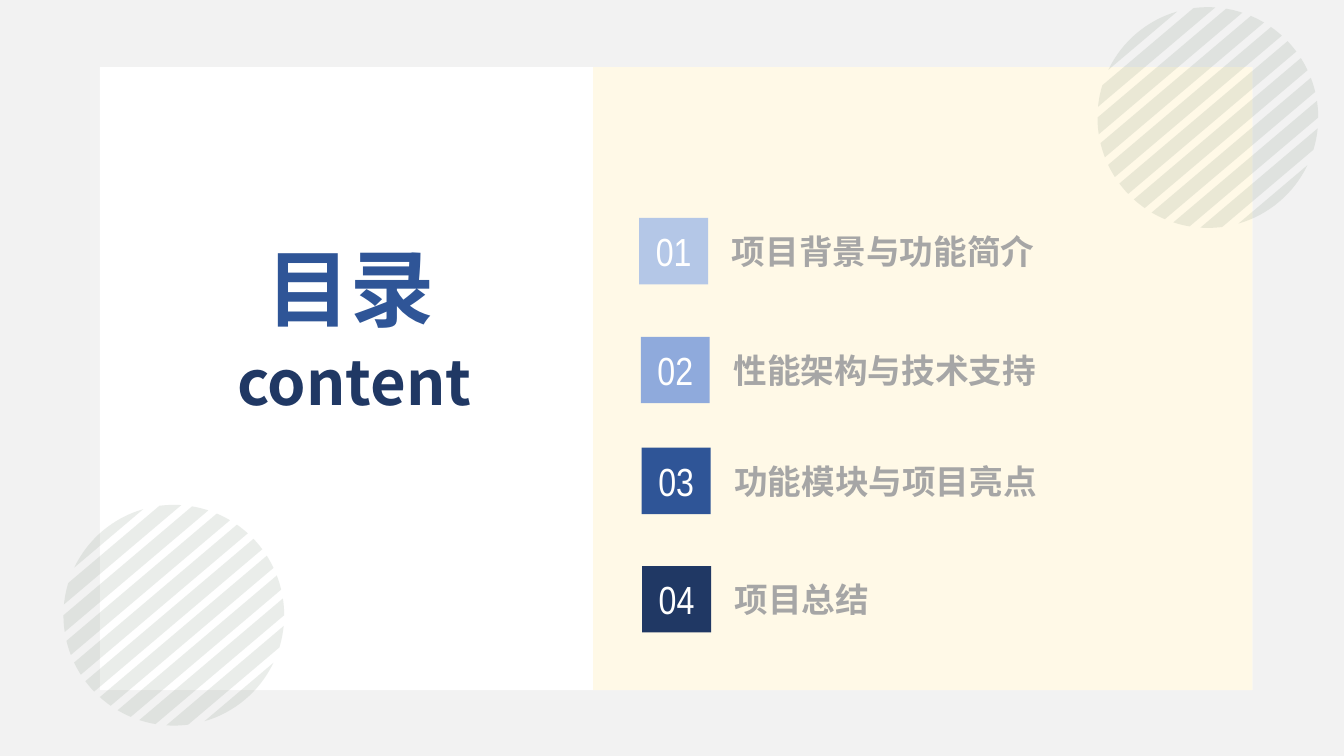
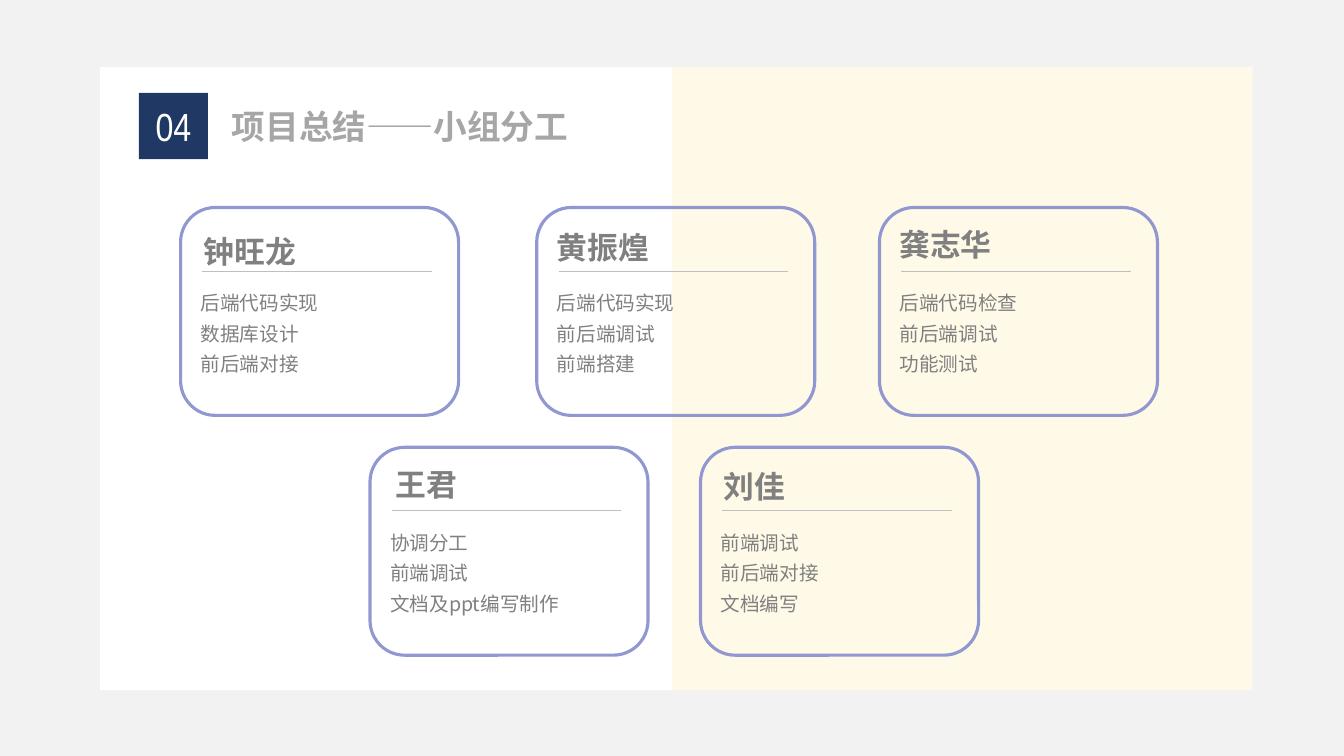
"""Build the contents slide and the team slide of a project report."""

from dataclasses import dataclass, replace
from math import acos, cos, radians, sin

from lxml.etree import SubElement
from pptx import Presentation
from pptx.dml.color import RGBColor
from pptx.enum.shapes import MSO_CONNECTOR, MSO_SHAPE
from pptx.enum.text import MSO_ANCHOR, MSO_AUTO_SIZE, PP_ALIGN
from pptx.oxml.ns import qn
from pptx.presentation import Presentation as Deck
from pptx.shapes.autoshape import Shape
from pptx.slide import Slide
from pptx.util import Emu, Inches, Pt

COLUMNS, ROWS = 160, 90
SLIDE_WIDTH, SLIDE_HEIGHT = Inches(13.333), Inches(7.5)

WHITE = RGBColor(0xFF, 0xFF, 0xFF)
BACKGROUND = RGBColor(0xF2, 0xF2, 0xF2)
CREAM = RGBColor(0xFF, 0xF9, 0xE7)
PALE_BLUE = RGBColor(0xB4, 0xC7, 0xE7)
LIGHT_BLUE = RGBColor(0x8F, 0xAA, 0xDC)
BLUE = RGBColor(0x2F, 0x55, 0x97)
NAVY = RGBColor(0x20, 0x38, 0x64)
LAVENDER = RGBColor(0x91, 0x97, 0xD0)
SAGE = RGBColor(0x74, 0x87, 0x73)
RULE_GRAY = RGBColor(0xBF, 0xBF, 0xBF)
HEADING_GRAY = RGBColor(0xA6, 0xA6, 0xA6)
TEXT_GRAY = RGBColor(0x80, 0x80, 0x80)

CHINESE_FONT = "Noto Sans CJK SC"
NUMBER_FONT = "Arial Narrow"


@dataclass(frozen=True)
class Box:
    left: float
    top: float
    width: float
    height: float

    def emu(self) -> tuple[Emu, Emu, Emu, Emu]:
        return column(self.left), row(self.top), column(self.width), row(self.height)


@dataclass(frozen=True)
class TextStyle:
    size: float
    color: RGBColor
    bold: bool = True
    font: str = CHINESE_FONT
    alignment: PP_ALIGN = PP_ALIGN.LEFT
    anchor: MSO_ANCHOR = MSO_ANCHOR.TOP
    line_spacing: float = 1.0


@dataclass(frozen=True)
class Section:
    number: str
    title: str
    color: RGBColor
    left: float
    top: float


@dataclass(frozen=True)
class Member:
    name: str
    duties: tuple[str, ...]
    left: float
    top: float
    name_left: float
    name_top: float


HEADING = TextStyle(24, HEADING_GRAY)
BADGE_NUMBER = TextStyle(28, WHITE, False, NUMBER_FONT, PP_ALIGN.CENTER, MSO_ANCHOR.MIDDLE)
CONTENTS_TITLE = TextStyle(60, BLUE, alignment=PP_ALIGN.CENTER)
CONTENTS_SUBTITLE = TextStyle(44, NAVY, alignment=PP_ALIGN.CENTER)
MEMBER_NAME = TextStyle(22, TEXT_GRAY, anchor=MSO_ANCHOR.MIDDLE)
MEMBER_DUTIES = TextStyle(14, TEXT_GRAY, False, line_spacing=1.3)

PANEL = Box(11.9, 8, 137.2, 74.15)
BADGE_WIDTH, BADGE_HEIGHT = 8.2, 7.9
CARD_WIDTH, CARD_HEIGHT = 33.1, 24.75
UPPER_CARDS, LOWER_CARDS = 24.7, 53.25

CIRCLE_RADIUS = 13.14
STRIPE_COUNT = 11
STRIPE_PITCH = 2.56
STRIPE_THICKNESS = 1.62
STRIPE_TILT = radians(49.75)
ARC_STEPS = 8

SECTIONS = (
    Section("01", "项目背景与功能简介", PALE_BLUE, 76.1, 25.95),
    Section("02", "性能架构与技术支持", LIGHT_BLUE, 76.3, 40.1),
    Section("03", "功能模块与项目亮点", BLUE, 76.4, 53.3),
    Section("04", "项目总结", NAVY, 76.45, 67.4),
)
MEMBERS = (
    Member("钟旺龙", ("后端代码实现", "数据库设计", "前后端对接"), 21.5, UPPER_CARDS, 1.55, 2.4),
    Member("黄振煌", ("后端代码实现", "前后端调试", "前端搭建"), 63.9, UPPER_CARDS, 1.2, 1.9),
    Member("龚志华", ("后端代码检查", "前后端调试", "功能测试"), 104.7, UPPER_CARDS, 1.2, 1.55),
    Member("王君", ("协调分工", "前端调试", "文档及ppt编写制作"), 44.05, LOWER_CARDS, 1.9, 1.55),
    Member("刘佳", ("前端调试", "前后端对接", "文档编写"), 83.4, LOWER_CARDS, 1.55, 1.8),
)


def column(count: float) -> Emu:
    return Emu(round(SLIDE_WIDTH * count / COLUMNS))


def row(count: float) -> Emu:
    return Emu(round(SLIDE_HEIGHT * count / ROWS))


def write(shape: Shape, lines: tuple[str, ...], style: TextStyle) -> None:
    frame = shape.text_frame
    frame.text = "\n".join(lines)
    frame.word_wrap = True
    frame.auto_size = MSO_AUTO_SIZE.NONE
    frame.vertical_anchor = style.anchor
    for paragraph in frame.paragraphs:
        paragraph.alignment = style.alignment
        paragraph.line_spacing = style.line_spacing
        for run in paragraph.runs:
            run.font.name = style.font
            run.font.size = Pt(style.size)
            run.font.bold = style.bold
            run.font.color.rgb = style.color
            east_asian = SubElement(run.font._element, qn("a:ea"))
            east_asian.set("typeface", style.font)


def add_text(slide: Slide, box: Box, lines: tuple[str, ...], style: TextStyle) -> None:
    write(slide.shapes.add_textbox(*box.emu()), lines, style)


def place_title(slide: Slide, box: Box, text: str, style: TextStyle) -> None:
    title = slide.shapes.title
    title.left, title.top, title.width, title.height = box.emu()
    write(title, (text,), style)
    slide.shapes._spTree.append(title._element)


def add_rectangle(slide: Slide, box: Box, color: RGBColor) -> Shape:
    shape = slide.shapes.add_shape(MSO_SHAPE.RECTANGLE, *box.emu())
    shape.shadow.inherit = False
    shape.fill.solid()
    shape.fill.fore_color.rgb = color
    shape.line.fill.background()
    return shape


def add_slide(presentation: Deck, split: float) -> Slide:
    slide = presentation.slides.add_slide(presentation.slide_layouts.get_by_name("Title Only"))
    add_rectangle(slide, PANEL, WHITE)
    cream_width = PANEL.left + PANEL.width - split
    add_rectangle(slide, replace(PANEL, left=split, width=cream_width), CREAM)
    return slide


def add_badge(slide: Slide, section: Section) -> None:
    box = Box(section.left, section.top, BADGE_WIDTH, BADGE_HEIGHT)
    badge = add_rectangle(slide, box, section.color)
    write(badge, (section.number,), BADGE_NUMBER)
    frame = badge.text_frame
    frame.margin_left = frame.margin_right = frame.margin_top = frame.margin_bottom = 0


def heading_box(section: Section) -> Box:
    return Box(section.left + 9.85, section.top + 0.95, 66, 6)


def stripe_outline(center_x: float, center_y: float, offset: float) -> list[tuple[int, int]]:
    outer = acos(min(1, (offset + STRIPE_THICKNESS / 2) / CIRCLE_RADIUS))
    inner = acos(max(-1, (offset - STRIPE_THICKNESS / 2) / CIRCLE_RADIUS))
    arc = [outer + (inner - outer) * step / ARC_STEPS for step in range(ARC_STEPS + 1)]
    angles = [STRIPE_TILT + angle for angle in arc] + [STRIPE_TILT - angle for angle in reversed(arc)]
    return [
        (column(center_x + CIRCLE_RADIUS * cos(angle)), row(center_y + CIRCLE_RADIUS * sin(angle)))
        for angle in angles
    ]


def add_striped_circle(slide: Slide, center_x: float, center_y: float) -> None:
    outlines = [
        stripe_outline(center_x, center_y, (index - STRIPE_COUNT // 2) * STRIPE_PITCH)
        for index in range(STRIPE_COUNT)
    ]
    builder = slide.shapes.build_freeform(*outlines[0][0])
    for outline in outlines:
        builder.move_to(*outline[0])
        builder.add_line_segments(outline[1:], close=True)
    circle = builder.convert_to_shape()
    circle.shadow.inherit = False
    circle.line.fill.background()
    circle.fill.solid()
    circle.fill.fore_color.rgb = SAGE
    color = circle._element.spPr.find(f"{qn('a:solidFill')}/{qn('a:srgbClr')}")
    SubElement(color, qn("a:alpha")).set("val", "15000")


def add_member_card(slide: Slide, member: Member) -> None:
    left, top = member.left, member.top
    card = slide.shapes.add_shape(MSO_SHAPE.ROUNDED_RECTANGLE, *Box(left, top, CARD_WIDTH, CARD_HEIGHT).emu())
    card.shadow.inherit = False
    card.fill.background()
    card.line.color.rgb = LAVENDER
    card.line.width = Pt(2.25)

    rule_top = row(top + 7.55)
    rule = slide.shapes.add_connector(
        MSO_CONNECTOR.STRAIGHT, column(left + 2.6), rule_top, column(left + 29.9), rule_top
    )
    rule.line.color.rgb = RULE_GRAY
    rule.line.width = Pt(0.5)
    SubElement(rule._element.spPr, qn("a:effectLst"))

    name_box = Box(left + member.name_left, top + member.name_top, 20, 5.65)
    add_text(slide, name_box, (member.name,), MEMBER_NAME)
    add_text(slide, Box(left + 1.2, top + 8.5, 31.8, 11.9), member.duties, MEMBER_DUTIES)


def build_contents_slide(presentation: Deck) -> None:
    slide = add_slide(presentation, split=70.6)
    for section in SECTIONS:
        add_badge(slide, section)
        add_text(slide, heading_box(section), (section.title,), HEADING)
    add_striped_circle(slide, 143.8, 14)
    add_text(slide, Box(19.45, 40.3, 45.5, 10.1), ("content",), CONTENTS_SUBTITLE)
    place_title(slide, Box(29.75, 27.6, 23.9, 13.3), "目录", CONTENTS_TITLE)
    add_striped_circle(slide, 20.7, 73.25)


def build_team_slide(presentation: Deck) -> None:
    slide = add_slide(presentation, split=COLUMNS / 2)
    summary = replace(SECTIONS[-1], left=16.55, top=11.05)
    add_badge(slide, summary)
    place_title(slide, heading_box(summary), f"{summary.title}——小组分工", HEADING)
    for member in MEMBERS:
        add_member_card(slide, member)


def main() -> None:
    presentation = Presentation()
    presentation.slide_width, presentation.slide_height = SLIDE_WIDTH, SLIDE_HEIGHT
    background = presentation.slide_master.background.fill
    background.solid()
    background.fore_color.rgb = BACKGROUND
    build_contents_slide(presentation)
    build_team_slide(presentation)
    presentation.save("out.pptx")


if __name__ == "__main__":
    main()
